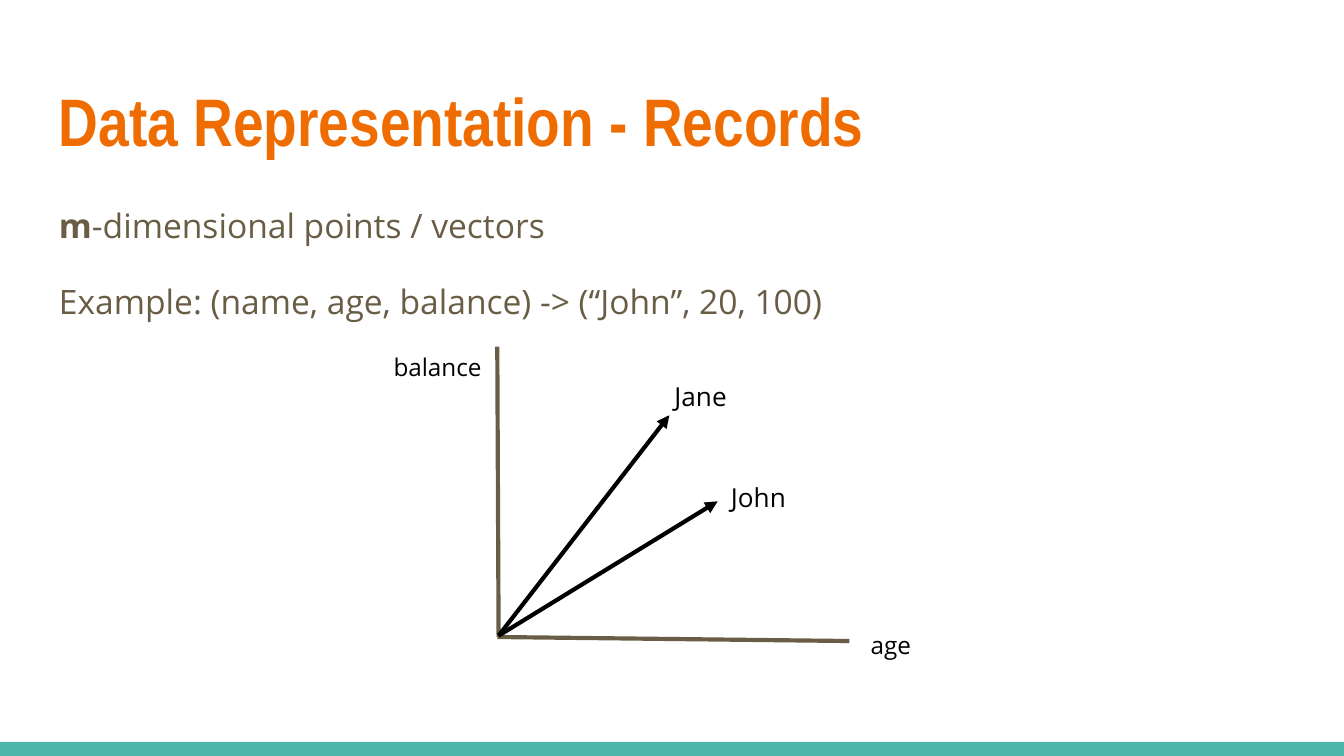
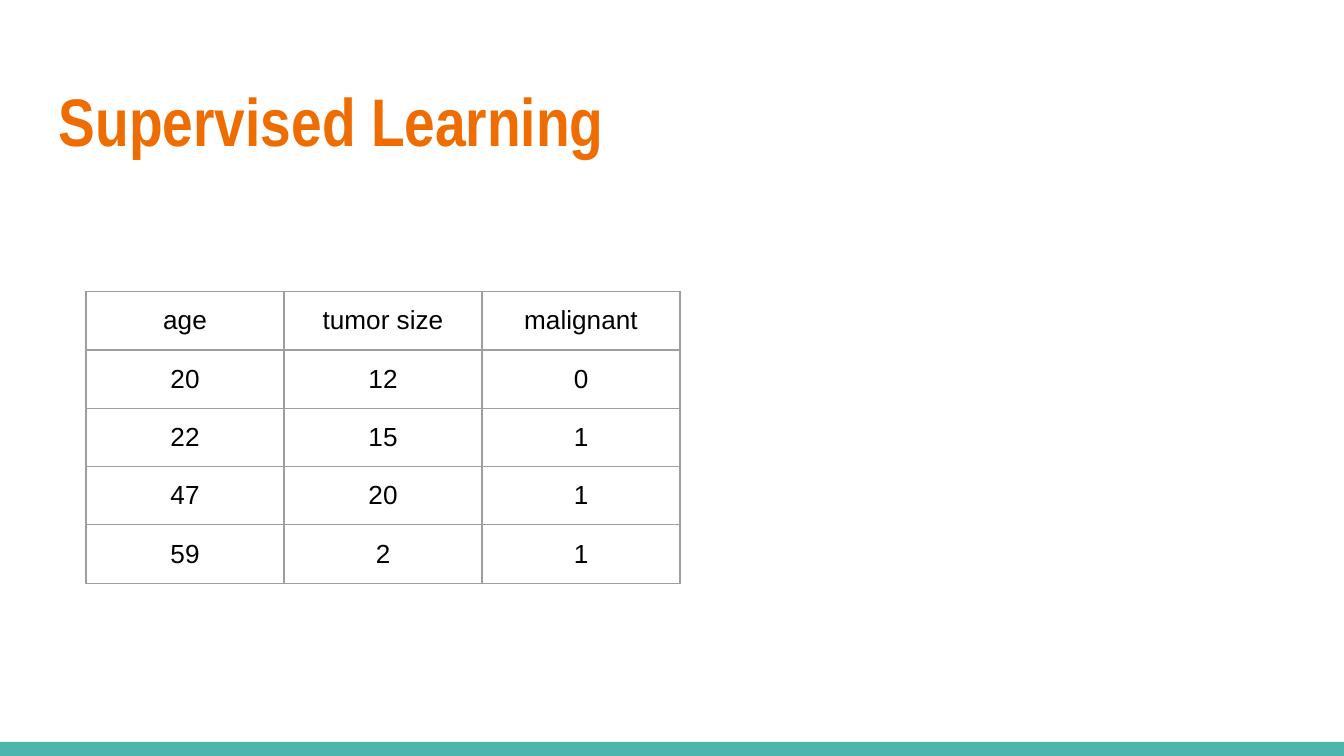
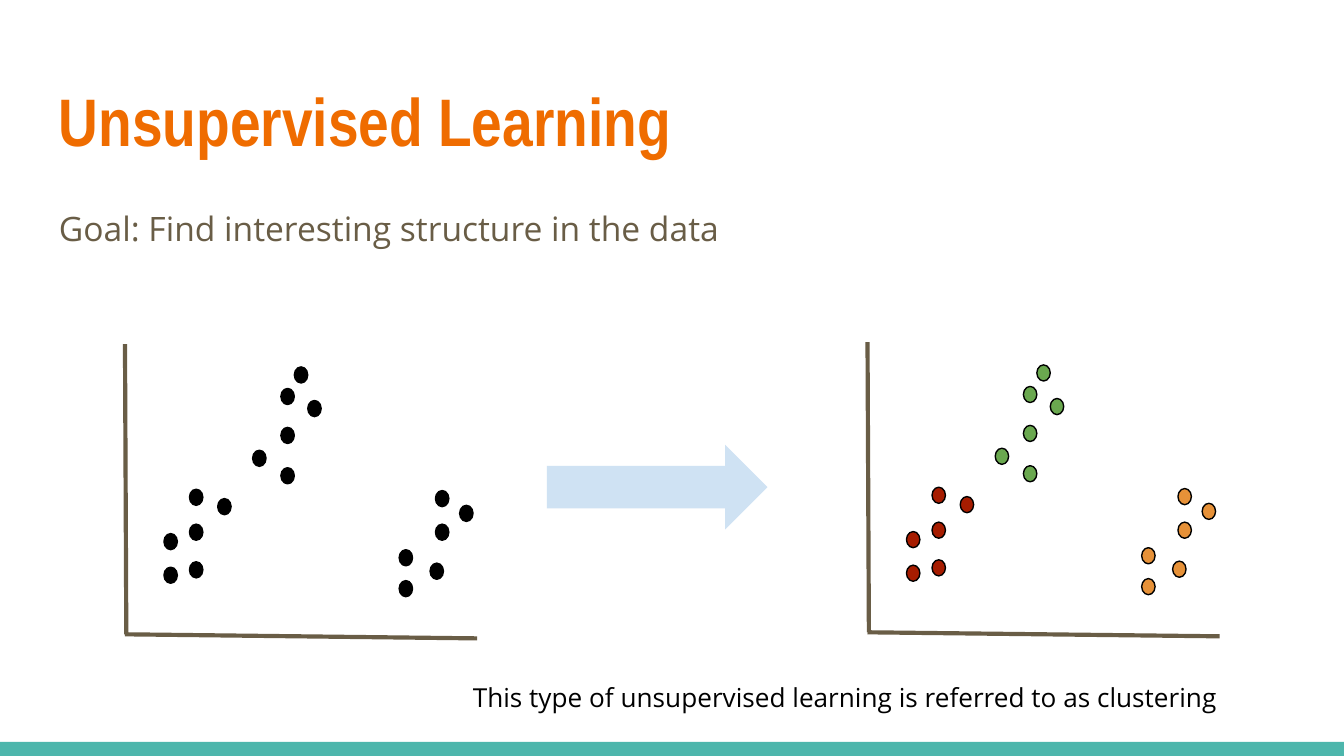
from collections import namedtuple

from pptx import Presentation
from pptx.dml.color import RGBColor
from pptx.enum.shapes import MSO_CONNECTOR as LINE, MSO_SHAPE as SHAPE
from pptx.enum.text import MSO_ANCHOR as ANCHOR, PP_ALIGN as ALIGN
from pptx.oxml.ns import qn
from pptx.util import Inches, Pt
from lxml.etree import SubElement

CELL = 0.1  # inches: the slide is a grid of 100 columns by 56.25 rows
COLUMNS, ROWS = 100, 56.25
Box = namedtuple("Box", "left top width height")

COLORS = {
    "band": "4DB6AC", "title": "EF6C00", "body": "695D46", "ink": "000000",
    "paper": "FFFFFF", "rule": "9E9E9E", "arrow": "CFE2F3",
    "red": "A61C00", "green": "6AA84F", "orange": "E69138",
}
FONTS = {
    "title": {"name": "Arial Narrow", "size": Pt(36), "bold": True},
    "body": {"name": "Open Sans", "size": Pt(18), "bold": False},
    "label": {"name": "Open Sans", "size": Pt(14), "bold": False},
    "axis": {"name": "Open Sans", "size": Pt(13), "bold": False},
    "cell": {"name": "Arial", "size": Pt(14), "bold": False},
}
TEXT_COLORS = {"title": "title", "body": "body"}
MARGINS = dict.fromkeys(
    ("margin_left", "margin_top", "margin_right", "margin_bottom"), Inches(0.1))

TITLE = Box(3.4, 4.9, 93.2, 7.7)
BAND = Box(0, 55.2, COLUMNS, ROWS - 55.2)
PLOT_WIDTH, PLOT_HEIGHT = 26.2, 21.9
DOT_WIDTH, DOT_HEIGHT = 1, 1.2

# Top left corners of the dots, in cells from the corner of their plot
CLUSTERS = {
    "red": [(4.8, 16.2), (4.8, 10.8), (6.9, 11.5), (4.8, 13.4), (2.9, 14.1), (2.9, 16.6)],
    "green": [(11.6, 3.3), (13.6, 4.2), (11.6, 6.2), (12.6, 1.7), (9.5, 7.9), (11.6, 9.2)],
    "orange": [(20.4, 15.3), (22.7, 16.3), (23.1, 13.4), (24.9, 12), (20.4, 17.6), (23.1, 10.9)],
}
PATIENTS = [
    ("age", "tumor size", "malignant"),
    ("20", "12", "0"),
    ("22", "15", "1"),
    ("47", "20", "1"),
    ("59", "2", "1"),
]


def cells(*counts):
    return [Inches(count * CELL) for count in counts]


def rgb(color):
    return RGBColor.from_string(COLORS[color])


def apply_format(target, values):
    for name, value in values.items():
        setattr(target, name, value)


def add_span(para, text, style, **changes):
    span = para.add_run()
    span.text = text
    apply_format(span.font, FONTS[style] | changes)
    span.font.color.rgb = rgb(TEXT_COLORS.get(style, "ink"))


def add_text(page, box, paragraphs, style, spacing=()):
    """Each paragraph is a list of (text, font changes); spacing holds one dict for each."""
    frame = page.shapes.add_textbox(*cells(*box)).text_frame
    apply_format(frame, MARGINS | {"word_wrap": True})
    for index, spans in enumerate(paragraphs):
        para = frame.add_paragraph() if index else frame.paragraphs[0]
        if spacing:
            apply_format(para, spacing[index])
        for text, changes in spans:
            add_span(para, text, style, **changes)


def add_label(page, box, text, style="label"):
    add_text(page, box, [[(text, {})]], style)


def add_figure(page, kind, box, fill, outline=None):
    figure = page.shapes.add_shape(kind, *cells(*box))
    figure.shadow.inherit = False
    figure.fill.solid()
    figure.fill.fore_color.rgb = rgb(fill)
    if outline:
        figure.line.color.rgb = rgb(outline)
        figure.line.width = Pt(0.75)
    else:
        figure.line.fill.background()


def add_line(page, box, start, end, color, arrow=False):
    """Start and end are cells from the corner of the box."""
    ends = [box.left + start[0], box.top + start[1], box.left + end[0], box.top + end[1]]
    line = page.shapes.add_connector(LINE.STRAIGHT, *cells(*ends))
    line.line.color.rgb = rgb(color)
    line.line.width = Pt(2.25)
    properties = line._element.spPr
    if arrow:
        SubElement(properties.find(qn("a:ln")), qn("a:tailEnd"), type="triangle")
    SubElement(properties, qn("a:effectLst"))


def add_page(deck, title):
    page = deck.slides.add_slide(deck.slide_layouts[6])
    add_figure(page, SHAPE.RECTANGLE, BAND, "band")
    add_label(page, TITLE, title, "title")
    return page


def add_axes(page, box):
    corner = box.height - 0.3
    add_line(page, box, (0, 0), (0.1, corner), "body")
    add_line(page, box, (0, corner), (box.width, box.height), "body")


def add_vectors(page, box):
    add_axes(page, box)
    add_label(page, Box(box.left - 8.7, box.top - 0.6, 9.9, 4.3), "balance", "axis")
    add_label(page, Box(box.left + 26.8, box.top + 20.1, 7.9, 6.9), "age", "axis")
    for name, tip, shift in (("John", (16.4, 11.5), (0, -2.5)),
                             ("Jane", (12.8, 5.1), (-0.6, -3.6))):
        add_line(page, box, (0.1, 21.5), tip, "ink", arrow=True)
        place = Box(box.left + tip[0] + shift[0], box.top + tip[1] + shift[1], 9.9, 3.5)
        add_label(page, place, name)


def add_scatter(page, box, clustered):
    for cluster, dots in CLUSTERS.items():
        for column, row in dots:
            dot = Box(box.left + column, box.top + row, DOT_WIDTH, DOT_HEIGHT)
            add_figure(page, SHAPE.OVAL, dot, cluster if clustered else "ink", "ink")
    add_axes(page, box)


def add_borders(cell):
    properties = cell._tc.get_or_add_tcPr()
    for side in "LRTB":
        border = SubElement(properties, qn(f"a:ln{side}"), w=str(Pt(0.75)))
        fill = SubElement(border, qn("a:solidFill"))
        SubElement(fill, qn("a:srgbClr"), val=COLORS["rule"])


def add_grid(page, box, rows):
    table = page.shapes.add_table(len(rows), len(rows[0]), *cells(*box)).table
    apply_format(table, {"first_row": False, "horz_banding": False})
    for index, row in enumerate(table.rows):
        row.height = Inches(0.43 if index else 0.42)
    for row, texts in enumerate(rows):
        for column, text in enumerate(texts):
            cell = table.cell(row, column)
            apply_format(cell, MARGINS | {"vertical_anchor": ANCHOR.MIDDLE})
            add_borders(cell)
            cell.fill.background()
            para = cell.text_frame.paragraphs[0]
            para.alignment = ALIGN.CENTER
            add_span(para, text, "cell")


def build_records(deck):
    page = add_page(deck, "Data Representation - Records")
    paragraphs = [
        [("m", {"bold": True}), ("-dimensional points / vectors", {})],
        [("Example: (name, age, balance) -> (“John”, 20, 100)", {})],
    ]
    spacing = [{"line_spacing": 1.15},
               {"line_spacing": 1.15, "space_before": Pt(16), "space_after": Pt(16)}]
    add_text(page, Box(3.4, 13.8, 93.2, 11.3), paragraphs, "body", spacing)
    add_vectors(page, Box(37, 25.8, PLOT_WIDTH, PLOT_HEIGHT))


def build_supervised(deck):
    page = add_page(deck, "Supervised Learning")
    add_grid(page, Box(6.4, 21.7, 44.2, 21.4), PATIENTS)


def build_unsupervised(deck):
    page = add_page(deck, "Unsupervised Learning")
    add_text(page, Box(3.4, 14, 93.2, 6.3),
             [[("Goal: Find interesting structure in the data", {})]], "body",
             [{"line_spacing": 1.15, "space_after": Pt(16)}])
    add_scatter(page, Box(9.3, 25.6, PLOT_WIDTH, PLOT_HEIGHT), clustered=False)
    add_figure(page, SHAPE.RIGHT_ARROW, Box(40.7, 33.1, 16.4, 6.3), "arrow")
    add_scatter(page, Box(64.55, 25.45, PLOT_WIDTH, PLOT_HEIGHT), clustered=True)
    add_label(page, Box(34.2, 49.7, 62.4, 4),
              "This type of unsupervised learning is referred to as clustering")


def main():
    deck = Presentation()
    deck.slide_width, deck.slide_height = cells(COLUMNS, ROWS)
    for build in (build_records, build_supervised, build_unsupervised):
        build(deck)
    deck.save("out.pptx")


if __name__ == "__main__":
    main()
